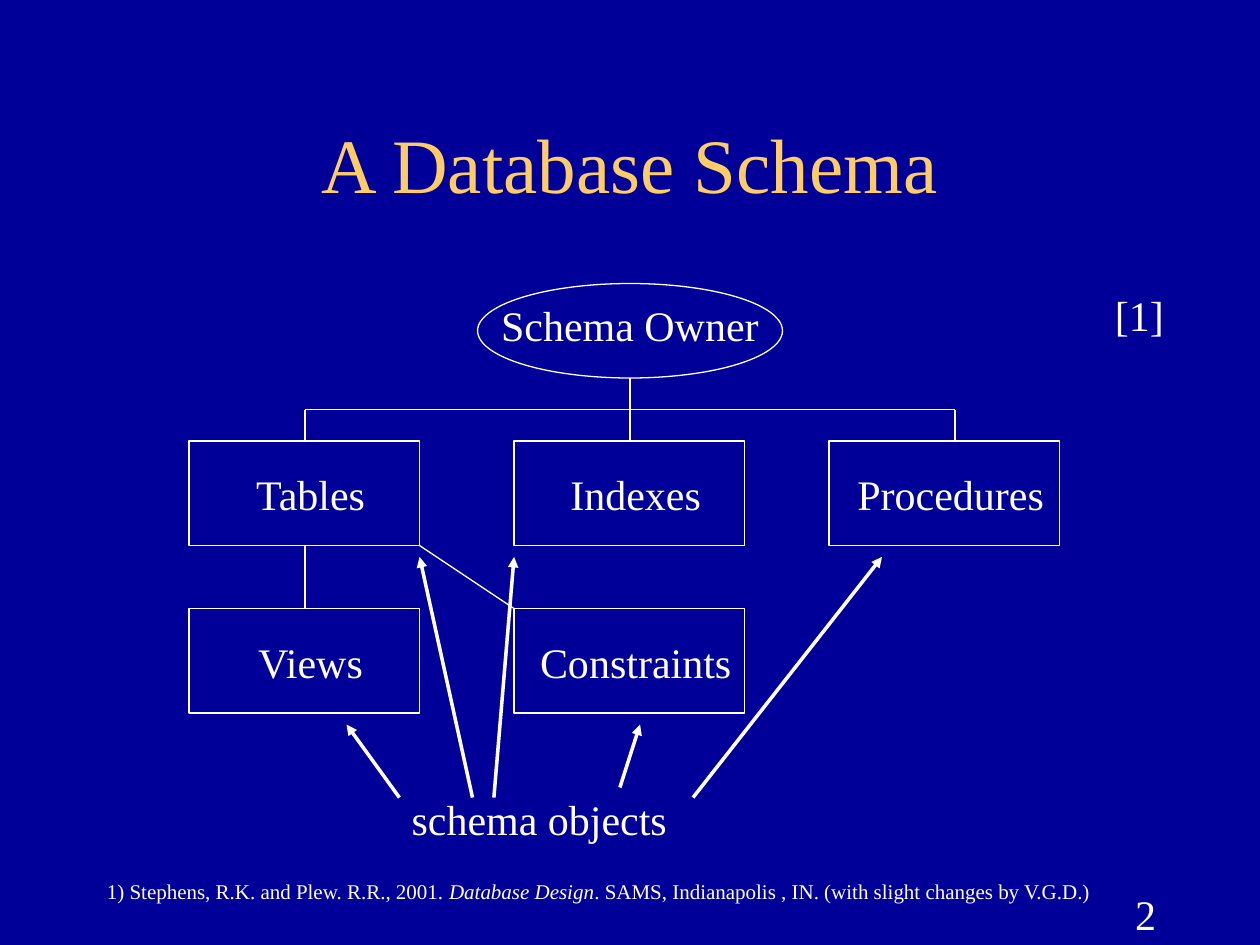
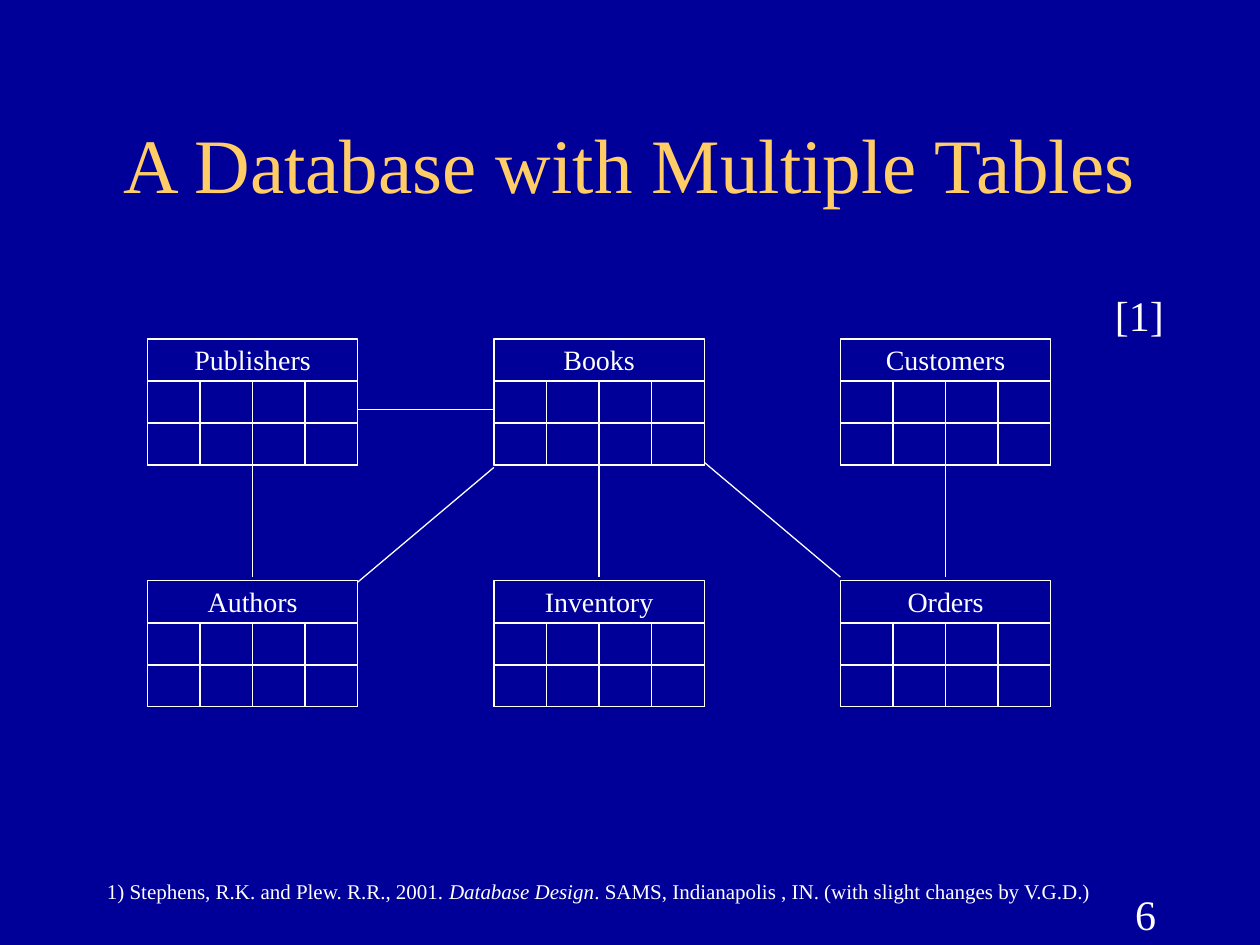
from lxml import etree
from pptx import Presentation
from pptx import util as u
from pptx.dml.color import RGBColor
from pptx.enum import shapes, text
from pptx.oxml.ns import qn

# Shared look
NAVY, GOLD, WHITE = "000099", "FFCC66", "FFFFFF"
FONT = "Times New Roman"
THIN, THICK = 0.75, 2
LEFT, CENTER = text.PP_ALIGN.LEFT, text.PP_ALIGN.CENTER
RECT, OVAL = shapes.MSO_SHAPE.RECTANGLE, shapes.MSO_SHAPE.OVAL
FIXED = text.MSO_AUTO_SIZE.NONE

# Shared content: (words, italic) pieces of the source line
CITATION = [
    ("1) Stephens, R.K. and Plew. R.R., 2001. ", False),
    ("Database Design", True),
    (". SAMS, Indianapolis , IN. (with slight changes by V.G.D.)", False),
]
CITATION_AREA = (0.75, 6.92, 8.5, 0.42)
TITLE_AREA = (0.75, 0.67, 8.5, 1.25)
MARK_AREA = (8.75, 2.25, 0.59, 0.5)
NUMBER_AREA = (8.91, 7, 1.59, 0.5)

# Schema slide: (label, left, top, label width)
OBJECT_SIZE = (1.83, 0.83)
OBJECTS = [
    ("Tables", 1.5, 3.5, 1.09),
    ("Indexes", 4.08, 3.5, 1.23),
    ("Procedures", 6.58, 3.5, 1.68),
    ("Views", 1.5, 4.83, 1.05),
    ("Constraints", 4.08, 4.83, 1.72),
]
OWNER_AREA = (3.79, 2.25, 2.42, 0.75)
OWNER_LABEL_AREA = (3.88, 2.33, 2.24, 0.5)
OBJECTS_LABEL_AREA = (3.17, 6.25, 2.22, 0.5)
TREE_LINES = [
    ((2.42, 4.33), (2.42, 4.83)),
    ((2.42, 3.25), (2.42, 3.5)),
    ((5, 3), (5, 3.5)),
    ((7.58, 3.25), (7.58, 3.5)),
    ((2.42, 3.25), (7.58, 3.25)),
    ((3.33, 4.33), (4.08, 4.83)),
]
OBJECT_ARROWS = [
    ((3.17, 6.33), (2.75, 5.75)),
    ((3.92, 6.33), (4.08, 4.42)),
    ((3.75, 6.33), (3.33, 4.42)),
    ((4.92, 6.25), (5.08, 5.75)),
    ((5.5, 6.33), (7, 4.42)),
]

# Tables slide: rows of (label, label width)
TABLE_ROWS = [
    (2.69, [("Publishers", 1.12), ("Books", 0.76), ("Customers", 1.15)]),
    (4.61, [("Authors", 0.91), ("Inventory", 1.06), ("Orders", 0.8)]),
]
TABLE_LEFT, TABLE_STEP = 1.17, 2.75
TABLE_WIDTH, TABLE_HEIGHT = 1.67, 1
CELL_COLUMNS, TABLE_BANDS = 4, 3
# Each end of a link: (table column, share of the table width, height on page)
TABLE_LINKS = [
    ((0, 0.5, 3.67), (0, 0.5, 4.58)),
    ((0, 1, 3.25), (1, 0, 3.25)),
    ((0, 1, 4.62), (1, 0, 3.71)),
    ((1, 0.5, 3.67), (1, 0.5, 4.58)),
    ((2, 0, 4.58), (1, 1, 3.67)),
    ((2, 0.5, 3.67), (2, 0.5, 4.58)),
]


def color(value):
    return RGBColor.from_string(value)


def inches(values):
    return [u.Inches(value) for value in values]


def apply(target, formats):
    for name, value in formats.items():
        setattr(target, name, value)


def write(frame, pieces, size, tint=WHITE, align=LEFT, **formats):
    """Fill a text frame with one paragraph of (words, italic) pieces."""
    apply(frame, formats)
    para = frame.paragraphs[0]
    para.alignment = align
    for words, italic in pieces:
        span = para.add_run()
        span.text = words
        apply(span.font, {"name": FONT, "size": u.Pt(size), "italic": italic})
        span.font.color.rgb = color(tint)


def add_label(page, words, area, size=24, align=CENTER):
    """Add a one-line label; a centred one may use the full box width."""
    box = page.shapes.add_textbox(*inches(area))
    margin = u.Inches(0 if align == CENTER else 0.1)
    write(box.text_frame, [(words, False)], size, align=align,
          word_wrap=False, auto_size=FIXED,
          margin_left=margin, margin_right=margin)


def add_outline(page, kind, area):
    outline = page.shapes.add_shape(kind, *inches(area))
    outline.shadow.inherit = False
    outline.fill.background()
    outline.line.color.rgb = color(WHITE)
    outline.line.width = u.Pt(THIN)


def add_line(page, start, end, width=THIN, arrow=False):
    line = page.shapes.add_connector(
        shapes.MSO_CONNECTOR.STRAIGHT, *inches(start + end))
    line.line.color.rgb = color(WHITE)
    line.line.width = u.Pt(width)
    properties = line._element.spPr
    if arrow:
        etree.SubElement(properties.find(qn("a:ln")), qn("a:tailEnd"),
                         type="triangle")
    etree.SubElement(properties, qn("a:effectLst"))


def add_page(deck, title, number):
    """Add a page with its title, number, source line and source mark."""
    page = deck.slides.add_slide(deck.slide_layouts[5])
    heading = page.shapes.title
    apply(heading, dict(zip(("left", "top", "width", "height"),
                            inches(TITLE_AREA))))
    write(heading.text_frame, [(title, False)], 44, GOLD, CENTER,
          word_wrap=True, auto_size=FIXED,
          vertical_anchor=text.MSO_ANCHOR.MIDDLE)
    add_label(page, number, NUMBER_AREA, align=LEFT)
    source = page.shapes.add_textbox(*inches(CITATION_AREA))
    write(source.text_frame, CITATION, 12, word_wrap=True)
    add_label(page, "[1]", MARK_AREA, align=LEFT)
    return page


def build_schema(deck):
    page = add_page(deck, "A Database Schema", "2")
    width, height = OBJECT_SIZE
    for label, left, top, label_width in OBJECTS:
        add_outline(page, RECT, (left, top, width, height))
        # Labels sit slightly right of the box centre
        label_left = left + (width - label_width) / 2 + 0.05
        add_label(page, label, (label_left, top + 0.17, label_width, 0.5))
    for start, end in TREE_LINES:
        add_line(page, start, end)
    add_outline(page, OVAL, OWNER_AREA)
    add_label(page, "Schema Owner", OWNER_LABEL_AREA)
    add_label(page, "schema objects", OBJECTS_LABEL_AREA)
    for start, end in OBJECT_ARROWS:
        add_line(page, start, end, THICK, arrow=True)


def add_data_table(page, label, label_width, left, top):
    """Draw a schematic table: a named header over a grid of empty cells."""
    add_outline(page, RECT, (left, top, TABLE_WIDTH, TABLE_HEIGHT))
    cell_width = TABLE_WIDTH / CELL_COLUMNS
    cell_height = TABLE_HEIGHT / TABLE_BANDS
    for band in range(1, TABLE_BANDS):
        for column in range(CELL_COLUMNS):
            add_outline(page, RECT, (left + column * cell_width,
                                     top + band * cell_height,
                                     cell_width, cell_height))
    label_left = left + (TABLE_WIDTH - label_width) / 2
    add_label(page, label, (label_left, top - 0.02, label_width, 0.37), 16)


def build_tables(deck):
    page = add_page(deck, "A Database with Multiple Tables", "6")
    for top, tables in TABLE_ROWS:
        for column, (label, label_width) in enumerate(tables):
            left = TABLE_LEFT + column * TABLE_STEP
            add_data_table(page, label, label_width, left, top)
    for link in TABLE_LINKS:
        start, end = [
            (TABLE_LEFT + column * TABLE_STEP + share * TABLE_WIDTH, height)
            for column, share, height in link]
        add_line(page, start, end)


def main():
    deck = Presentation()
    deck.slide_width, deck.slide_height = inches((10, 7.5))
    backdrop = deck.slide_master.background.fill
    backdrop.solid()
    backdrop.fore_color.rgb = color(NAVY)
    build_schema(deck)
    build_tables(deck)
    deck.save("out.pptx")


if __name__ == "__main__":
    main()
